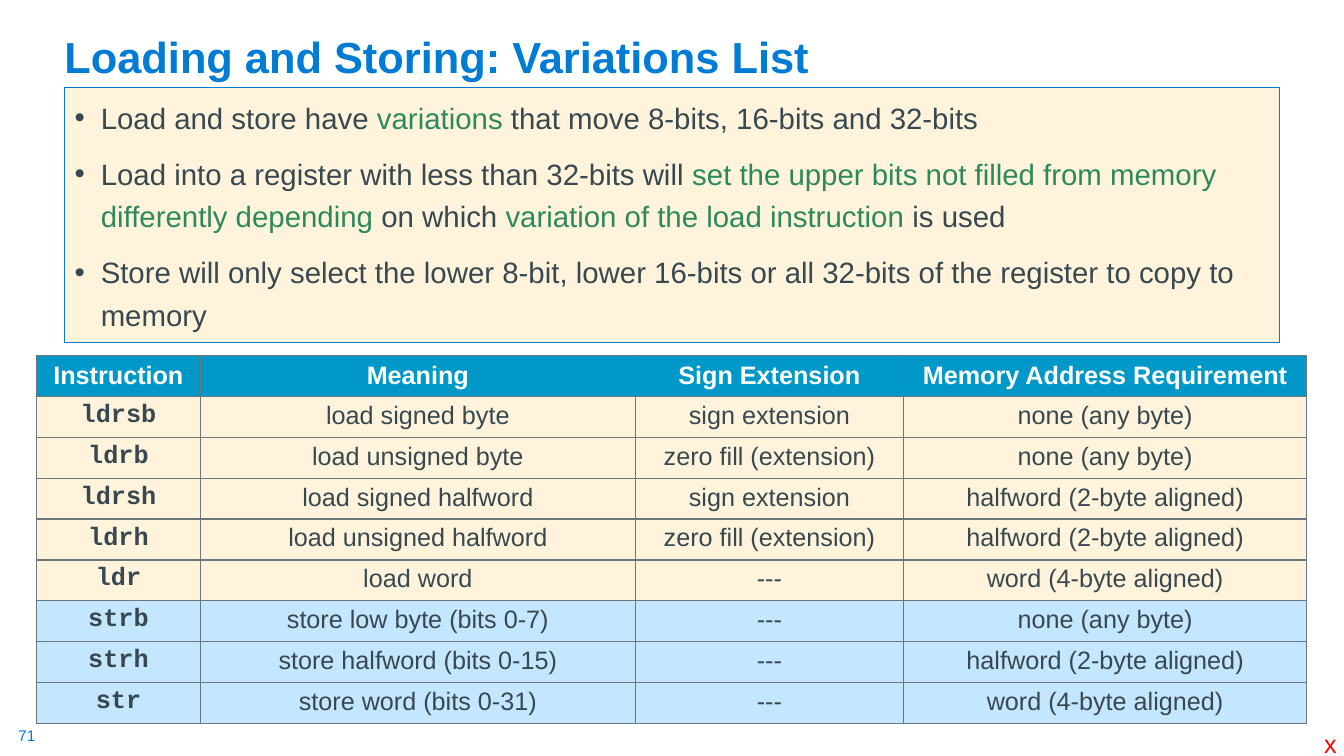
from lxml.etree import SubElement
from pptx import Presentation
from pptx.dml.color import RGBColor
from pptx.enum.shapes import MSO_SHAPE
from pptx.enum.text import MSO_ANCHOR as Anchor, PP_ALIGN as Align
from pptx.oxml.ns import qn
from pptx.util import Cm, Pt

COLORS = {
    "blue": "007CD5",
    "header": "0098C9",
    "cream": "FFF4DB",
    "sky": "C4E6FF",
    "dark": "384851",
    "green": "2C895B",
    "border": "6B767D",
    "white": "FFFFFF",
    "red": "FF0000",
}


def rgb(name):
    return RGBColor.from_string(COLORS[name])


def add_text(paragraph, text, size=18, color="dark", font="Arial", bold=False, align=Align.LEFT):
    paragraph.alignment = align
    run = paragraph.add_run()
    run.text = text
    run.font.size = Pt(size)
    run.font.name = font
    run.font.bold = bold
    run.font.color.rgb = rgb(color)


presentation = Presentation()
presentation.slide_width = Cm(33.87)
presentation.slide_height = Cm(19.05)
slide = presentation.slides.add_slide(presentation.slide_layouts[5])

points = [
    [
        ("Load and store have ", "dark"),
        ("variations", "green"),
        (" that move 8-bits, 16-bits and 32-bits", "dark"),
    ],
    [
        ("Load into a register with less than 32-bits will ", "dark"),
        ("set the upper bits not filled from memory differently depending ", "green"),
        ("on which ", "dark"),
        ("variation of the load instruction ", "green"),
        ("is used", "dark"),
    ],
    [
        ("Store will only select the lower 8-bit, lower 16-bits or all 32-bits "
         "of the register to copy to memory", "dark"),
    ],
]
panel = slide.shapes.add_shape(MSO_SHAPE.RECTANGLE, Cm(1.63), Cm(2.21), Cm(30.61), Cm(6.43))
panel.shadow.inherit = False
panel.fill.solid()
panel.fill.fore_color.rgb = rgb("cream")
panel.line.color.rgb = rgb("blue")
panel.line.width = Pt(0.75)
panel.text_frame.word_wrap = True
panel.text_frame.vertical_anchor = Anchor.TOP
for index, pieces in enumerate(points):
    paragraph = panel.text_frame.add_paragraph() if index else panel.text_frame.paragraphs[0]
    properties = paragraph._p.get_or_add_pPr()
    properties.set("marL", str(Cm(0.66)))
    properties.set("indent", str(Cm(-0.66)))
    SubElement(properties, qn("a:buFont"), typeface="Arial")
    SubElement(properties, qn("a:buChar"), char="•")
    paragraph.line_spacing = 1.2
    paragraph.space_before = Pt(10 if index else 0)
    for text, color in pieces:
        add_text(paragraph, text, size=21, color=color)

title = slide.shapes.title
title.left, title.top, title.width, title.height = Cm(1.37), Cm(0.23), Cm(29.21), Cm(1.98)
title.text_frame.vertical_anchor = Anchor.BOTTOM
heading = title.text_frame.paragraphs[0]
heading.line_spacing = 0.9
add_text(heading, "Loading and Storing: Variations List", size=31, color="blue", bold=True)

rows = [
    ("Instruction", "Meaning", "Sign Extension", "Memory Address Requirement"),
    ("ldrsb", "load signed byte", "sign extension", "none (any byte)"),
    ("ldrb", "load unsigned byte", "zero fill (extension)", "none (any byte)"),
    ("ldrsh", "load signed halfword", "sign extension", "halfword (2-byte aligned)"),
    ("ldrh", "load unsigned halfword", "zero fill (extension)", "halfword (2-byte aligned)"),
    ("ldr", "load word", "---", "word (4-byte aligned)"),
    ("strb", "store low byte (bits 0-7)", "---", "none (any byte)"),
    ("strh", "store halfword (bits 0-15)", "---", "halfword (2-byte aligned)"),
    ("str", "store word (bits 0-31)", "---", "word (4-byte aligned)"),
]
column_widths = [4.13, 10.96, 6.76, 10.16]
table = slide.shapes.add_table(
    len(rows), len(column_widths), Cm(0.92), Cm(8.96), Cm(sum(column_widths)), Cm(9.27)
).table
table.first_row = False
table.horz_banding = False
for column, width in zip(table.columns, column_widths):
    column.width = Cm(width)
for row_index, row in enumerate(rows):
    table.rows[row_index].height = Cm(1.03)
    is_header = row_index == 0
    fill = "header" if is_header else "sky" if row[0].startswith("str") else "cream"
    for column_index, text in enumerate(row):
        cell = table.cell(row_index, column_index)
        is_code = column_index == 0 and not is_header
        cell.vertical_anchor = Anchor.MIDDLE if is_header else Anchor.TOP
        add_text(
            cell.text_frame.paragraphs[0],
            text,
            color="white" if is_header else "dark",
            font="Courier New" if is_code else "Arial",
            bold=is_header or is_code,
            align=Align.CENTER,
        )
        cell_properties = cell._tc.get_or_add_tcPr()
        for side in ("a:lnL", "a:lnR", "a:lnT", "a:lnB"):
            border = SubElement(cell_properties, qn(side), w=str(Pt(1)))
            border_fill = SubElement(border, qn("a:solidFill"))
            SubElement(border_fill, qn("a:srgbClr"), val=COLORS["border"])
        cell.fill.solid()
        cell.fill.fore_color.rgb = rgb(fill)

page_number = slide.shapes.add_textbox(Cm(0.46), Cm(18.31), Cm(0.48), Cm(0.48))
number_frame = page_number.text_frame
number_frame.margin_left = number_frame.margin_right = 0
number_frame.margin_top = number_frame.margin_bottom = 0
add_text(number_frame.paragraphs[0], "71", size=11, color="blue")

mark = slide.shapes.add_textbox(Cm(33.12), Cm(18.24), Cm(0.84), Cm(1.02))
add_text(mark.text_frame.paragraphs[0], "x", color="red")

presentation.save("out.pptx")
